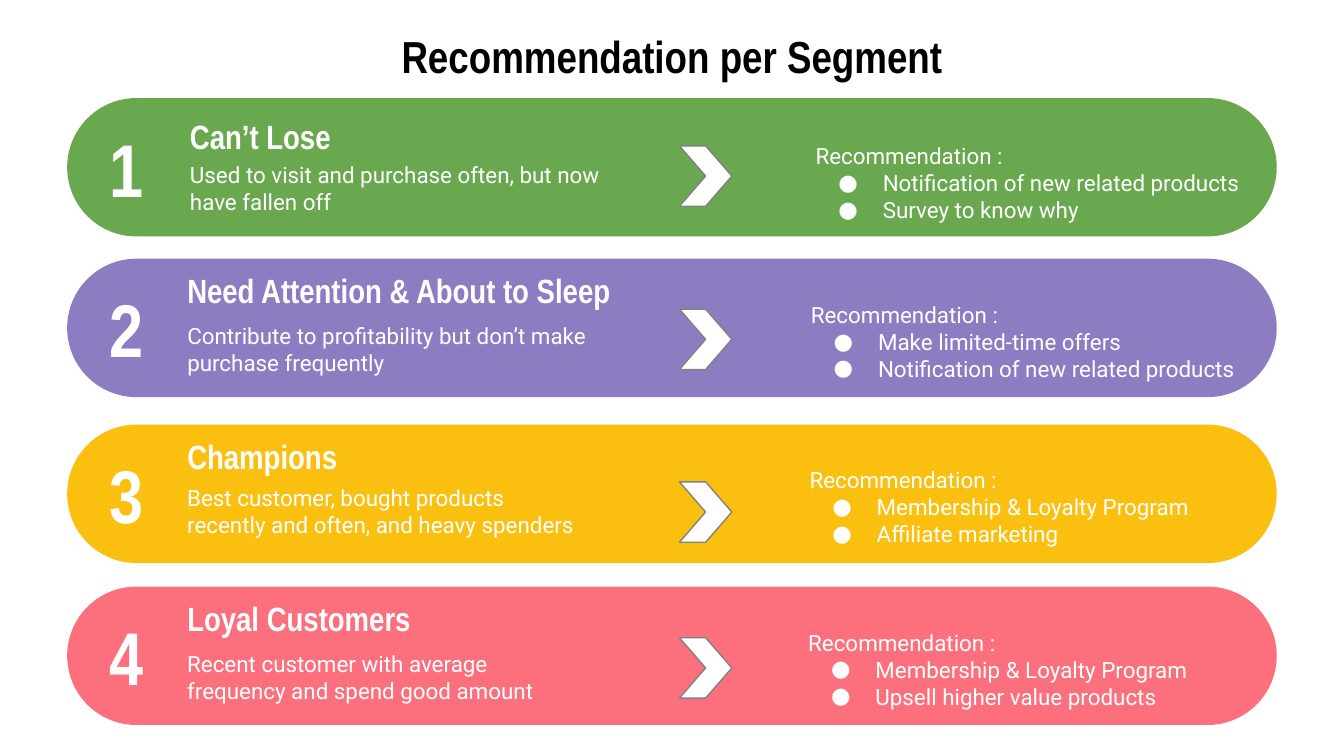
import pptx
import pptx.dml.color
import pptx.enum.shapes
import pptx.enum.text
import pptx.oxml
import pptx.oxml.ns
import pptx.util

EMU_PER_PX = 4572  # 200 px to the inch
COLORS = {
    "white": "FFFFFF",
    "black": "000000",
    "chevron_line": "818181",
    "green": "6AA84F",
    "purple": "8E7CC3",
    "yellow": "FBBF10",
    "pink": "FC707E",
}
FORMATS = {
    "title": {"name": "Arial Narrow", "size": pptx.util.Pt(24), "bold": True},
    "number": {"name": "Arial Narrow", "size": pptx.util.Pt(40), "bold": True},
    "heading": {"name": "Arial Narrow", "size": pptx.util.Pt(18), "bold": True},
    "body": {"name": "Roboto", "size": pptx.util.Pt(12), "bold": False},
}
SHAPES = pptx.enum.shapes.MSO_SHAPE
ANCHOR = pptx.enum.text.MSO_ANCHOR
ALIGN = pptx.enum.text.PP_ALIGN

BAR_LEFT, BAR_WIDTH, BAR_HEIGHT = 100, 1800, 206
SEGMENTS = [
    {
        "color": "green", "top": 146, "chevron_top": 217,
        "heading": "Can’t Lose", "heading_box": (263, 164, 458, 78),
        "description": "Used to visit and purchase often, but now have fallen off",
        "description_box": (263, 220, 724, 132),
        "actions": ["Notification of new related products", "Survey to know why"],
        "actions_box": (1194, 192, 706, 124),
    },
    {
        "color": "purple", "top": 385, "chevron_top": 460,
        "heading": "Need Attention & About to Sleep", "heading_box": (259, 393, 770, 78),
        "description": "Contribute to profitability but don’t make purchase frequently",
        "description_box": (259, 460, 710, 124),
        "actions": ["Make limited-time offers", "Notification of new related products"],
        "actions_box": (1187, 428, 688, 124),
    },
    {
        "color": "yellow", "top": 632, "chevron_top": 717,
        "heading": "Champions", "heading_box": (259, 640, 458, 78),
        "description": "Best customer, bought products recently and often, and heavy spenders",
        "description_box": (259, 700, 628, 124),
        "actions": ["Membership & Loyalty Program", "Affiliate marketing"],
        "actions_box": (1185, 674, 648, 124),
    },
    {
        "color": "pink", "top": 873, "chevron_top": 949,
        "heading": "Loyal Customers", "heading_box": (259, 881, 458, 78),
        "description": "Recent customer with average frequency and spend good amount",
        "description_box": (259, 948, 640, 124),
        "actions": ["Membership & Loyalty Program", "Upsell higher value products"],
        "actions_box": (1183, 916, 642, 124),
    },
]


def px(length):
    return pptx.util.Emu(length * EMU_PER_PX)


def rgb(color):
    return pptx.dml.color.RGBColor.from_string(COLORS[color])


def set_attributes(target, values):
    for name, value in values.items():
        setattr(target, name, value)


def write_paragraph(paragraph, text, style, color="white", alignment=ALIGN.LEFT):
    paragraph.alignment = alignment
    run = paragraph.add_run()
    run.text = text
    set_attributes(run.font, FORMATS[style])
    run.font.color.rgb = rgb(color)


def format_frame(frame, anchor):
    margins = {f"margin_{side}": px(20) for side in ("left", "top", "right", "bottom")}
    set_attributes(frame, {
        "word_wrap": True,
        "auto_size": pptx.enum.text.MSO_AUTO_SIZE.NONE,
        "vertical_anchor": anchor,
        **margins,
    })


def add_text(shapes, box, text, style, anchor=ANCHOR.TOP, alignment=ALIGN.LEFT):
    frame = shapes.add_textbox(*map(px, box)).text_frame
    format_frame(frame, anchor)
    write_paragraph(frame.paragraphs[0], text, style, alignment=alignment)
    return frame


def make_bullet(paragraph):
    properties = paragraph._p.get_or_add_pPr()
    properties.set("marL", str(px(100)))
    properties.set("indent", str(px(-66)))
    namespace = pptx.oxml.ns.nsdecls("a")
    for xml in (
        f'<a:buClr {namespace}><a:srgbClr val="{COLORS["white"]}"/></a:buClr>',
        f'<a:buSzPts {namespace} val="1200"/>',
        f'<a:buFont {namespace} typeface="Roboto"/>',
        f'<a:buChar {namespace} char="●"/>',
    ):
        properties.append(pptx.oxml.parse_xml(xml))


def add_recommendations(shapes, box, actions):
    frame = add_text(shapes, box, "Recommendation :", "body")
    for action in actions:
        paragraph = frame.add_paragraph()
        write_paragraph(paragraph, action, "body")
        make_bullet(paragraph)


def add_filled_shape(shapes, kind, box, fill, line=None):
    shape = shapes.add_shape(kind, *map(px, box))
    shape.shadow.inherit = False
    shape.adjustments[0] = 0.5
    shape.fill.solid()
    shape.fill.fore_color.rgb = rgb(fill)
    if line:
        shape.line.color.rgb = rgb(line)
        shape.line.width = pptx.util.Pt(0.75)
    else:
        shape.line.fill.background()


def add_segment(slide, number, segment):
    shapes = slide.shapes.add_group_shape().shapes
    top = segment["top"]
    add_filled_shape(shapes, SHAPES.ROUNDED_RECTANGLE,
                     (BAR_LEFT, top, BAR_WIDTH, BAR_HEIGHT), segment["color"])
    add_text(shapes, segment["heading_box"], segment["heading"], "heading", ANCHOR.MIDDLE)
    add_text(shapes, segment["description_box"], segment["description"], "body")
    add_recommendations(shapes, segment["actions_box"], segment["actions"])
    add_text(shapes, (BAR_LEFT, top, 176, BAR_HEIGHT), str(number), "number",
             ANCHOR.MIDDLE, ALIGN.CENTER)


def set_title(slide, text):
    title = slide.shapes.title
    set_attributes(title, {"left": px(100), "top": px(22), "width": px(1800), "height": px(126)})
    format_frame(title.text_frame, ANCHOR.TOP)
    write_paragraph(title.text_frame.paragraphs[0], text, "title", "black", ALIGN.CENTER)


def main():
    presentation = pptx.Presentation()
    set_attributes(presentation, {"slide_width": px(2000), "slide_height": px(1125)})
    title_only = presentation.slide_layouts[5]
    slide = presentation.slides.add_slide(title_only)
    set_title(slide, "Recommendation per Segment")
    for number, segment in enumerate(SEGMENTS, start=1):
        add_segment(slide, number, segment)
    for segment in SEGMENTS:
        add_filled_shape(slide.shapes, SHAPES.CHEVRON,
                         (1011, segment["chevron_top"], 78, 90), "white", "chevron_line")
    presentation.save("out.pptx")


if __name__ == "__main__":
    main()
